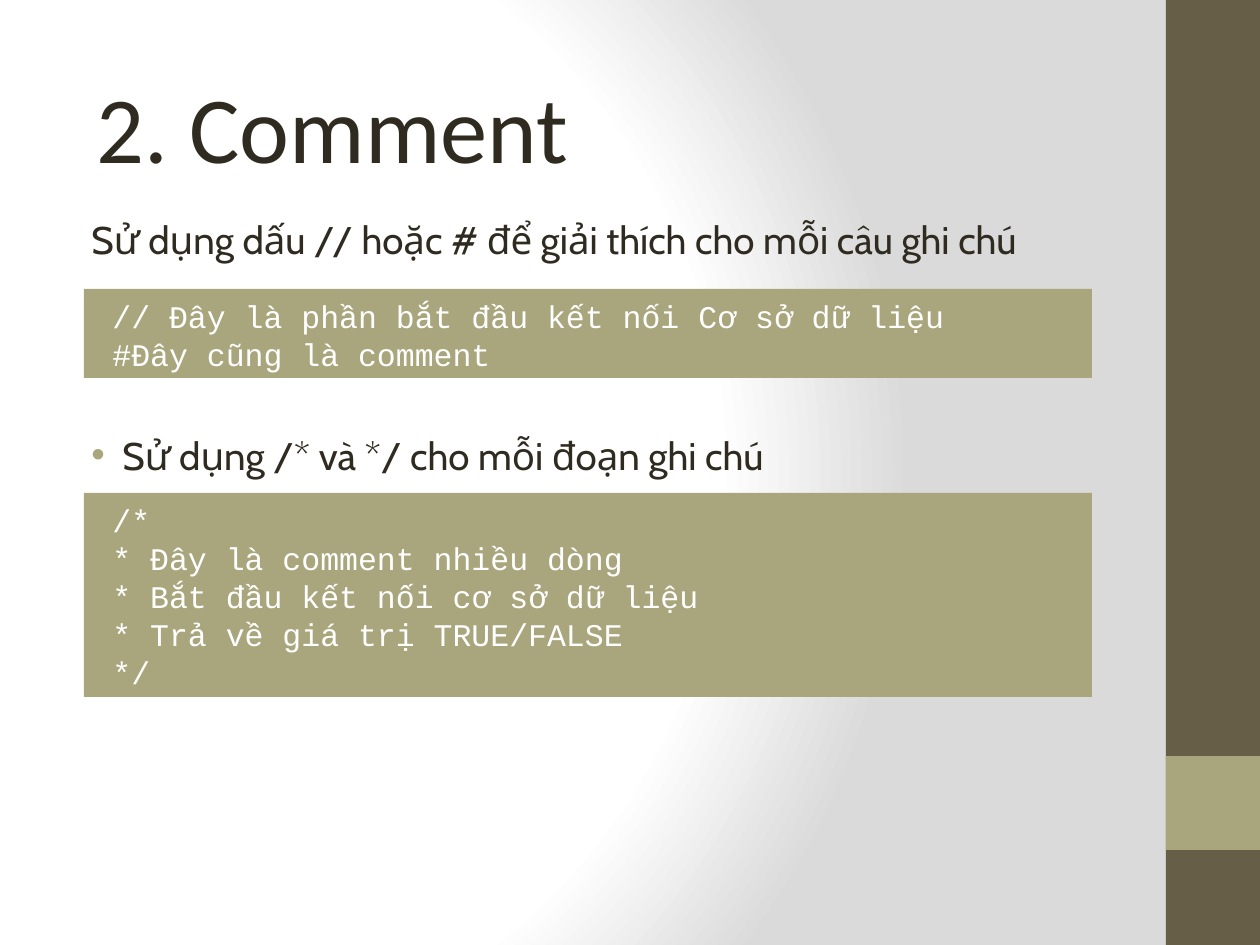
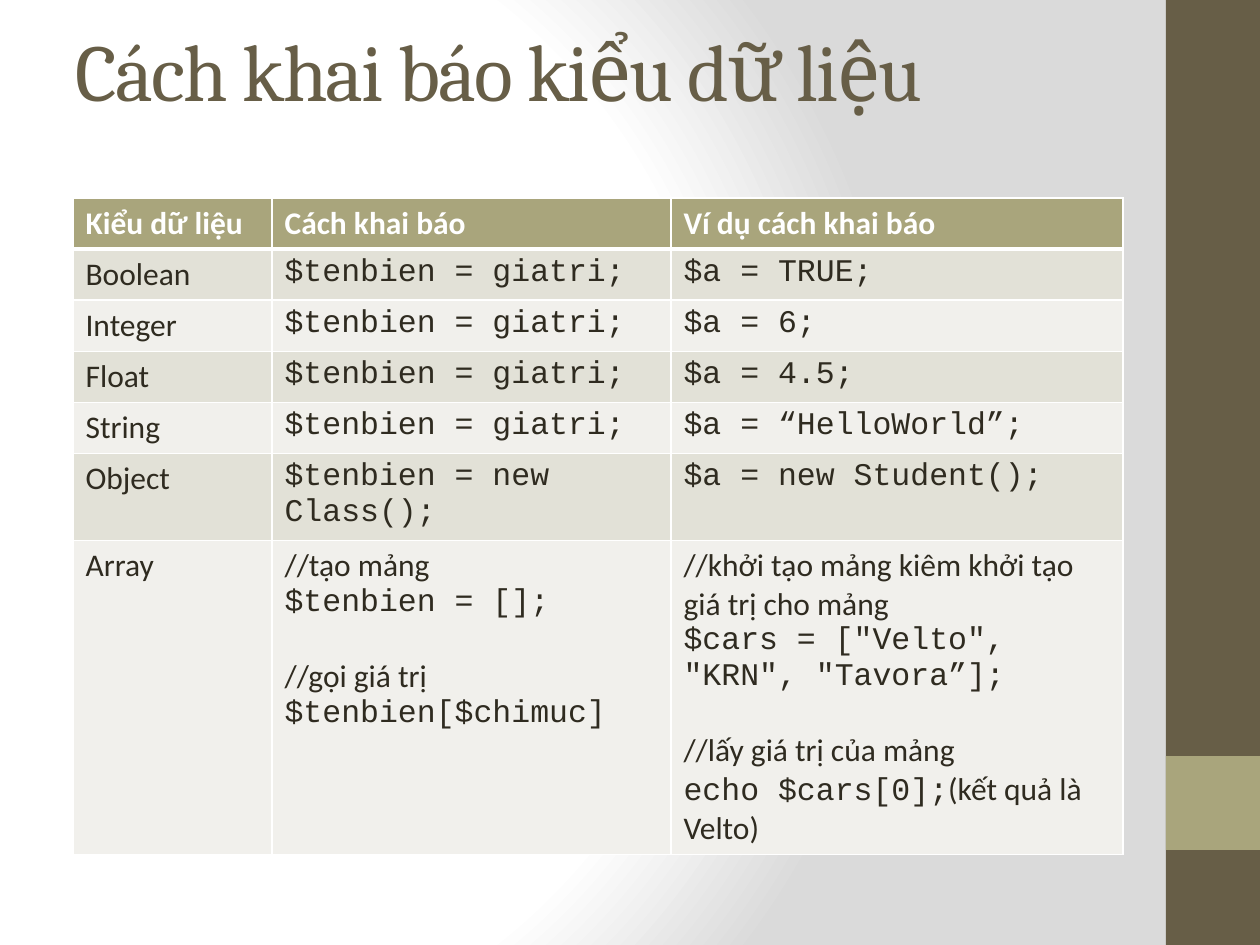
"""Build two lesson slides on comments and on declaring data types."""
import dataclasses
import typing

import lxml.etree
import pptx
import pptx.dml.color
import pptx.enum.shapes
import pptx.enum.text
import pptx.oxml
import pptx.oxml.ns
import pptx.util

Pt = pptx.util.Pt
ANCHOR = pptx.enum.text.MSO_ANCHOR
LEFT = pptx.enum.text.PP_ALIGN.LEFT
COLORS = {
    "white": "FFFFFF", "gray": "DADADA", "brown": "675E47", "sand": "A9A57C",
    "ink": "2F2B20", "dark": "E2E1D7", "light": "F1F0EC",
}
CODE = "Courier New"
TEXT = "Calibri"
NS = 'xmlns:a="http://schemas.openxmlformats.org/drawingml/2006/main"'


@dataclasses.dataclass(frozen=True)
class Box:
    """A rectangle in pixels."""
    left: int
    top: int
    width: int
    height: int

    def emus(self) -> list[pptx.util.Emu]:
        """Return the four lengths in EMU."""
        return [px(n) for n in dataclasses.astuple(self)]


@dataclasses.dataclass(frozen=True)
class Style:
    """The look of a run."""
    font: str
    size: float
    color: str
    bold: bool = False


@dataclasses.dataclass(frozen=True)
class Line:
    """A paragraph of runs, each a text and a font, below a gap in points."""
    runs: tuple[tuple[str, str], ...]
    gap: float = 0


@dataclasses.dataclass(frozen=True)
class Panel:
    """A filled box of code lines."""
    box: Box
    lines: tuple[str, ...]


def px(count: float) -> pptx.util.Emu:
    """Turn pixels into EMU."""
    return pptx.util.Emu(round(count * 914400 / 126))


def rgb(name: str) -> pptx.dml.color.RGBColor:
    """Look up a colour."""
    return pptx.dml.color.RGBColor.from_string(COLORS[name])


def assign(target: typing.Any, values: dict[str, typing.Any]) -> None:
    """Set each value as an attribute."""
    for name, value in values.items():
        setattr(target, name, value)


def node(markup: str) -> lxml.etree.ElementBase:
    """Parse a drawing element."""
    return pptx.oxml.parse_xml(markup.replace(" ", f" {NS} ", 1))


def write(para: typing.Any, text: str, style: Style) -> typing.Any:
    """Add a styled run."""
    run = para.add_run()
    run.text = text
    assign(run.font, {"name": style.font, "size": Pt(style.size), "bold": style.bold})
    run.font.color.rgb = rgb(style.color)
    return run


def indent(para: typing.Any, left: int, first: int = 0) -> None:
    """Set the paragraph indents in pixels."""
    props = para._p.get_or_add_pPr()
    props.set("marL", str(px(left)))
    props.set("indent", str(px(first)))


def block(shapes: typing.Any, box: Box, color: str) -> typing.Any:
    """Draw a plain filled rectangle."""
    shape = shapes.add_shape(pptx.enum.shapes.MSO_SHAPE.RECTANGLE, *box.emus())
    shape.shadow.inherit = False
    shape.fill.solid()
    shape.fill.fore_color.rgb = rgb(color)
    shape.line.fill.background()
    return shape


def backdrop(master: typing.Any) -> None:
    """Give the master its round gradient."""
    fill = master.background.fill
    fill.gradient()
    old = next(master.element.iter(pptx.oxml.ns.qn("a:gradFill")))
    stops = "".join(
        f'<a:gs pos="{at}000"><a:srgbClr val="{COLORS[name]}"/></a:gs>'
        for at, name in ((0, "white"), (75, "white"), (100, "gray"))
    )
    new = node(
        f'<a:gradFill rotWithShape="1"><a:gsLst>{stops}</a:gsLst><a:path path="circle">'
        '<a:fillToRect l="20000" t="50000" r="100000" b="50000"/></a:path></a:gradFill>'
    )
    old.getparent().replace(old, new)


def bands(master: typing.Any, slide: typing.Any) -> None:
    """Draw the side bands and hand them to the master."""
    sides = ((Box(1166, 0, 94, 945), "brown"), (Box(1166, 756, 94, 94), "sand"))
    for order, (box, color) in enumerate(sides):
        band = block(slide.shapes, box, color)
        band.element.nvSpPr.cNvPr.set("id", str(100 + order))
        master.shapes.element.insert(2 + order, band.element)


def title(slide: typing.Any, text: str, box: Box, style: Style,
          anchor: typing.Any, bottom: int = 6, tight: int = 0) -> None:
    """Place and format the title."""
    shape = slide.shapes.title
    assign(shape, dict(zip(("left", "top", "width", "height"), box.emus())))
    frame = shape.text_frame
    assign(frame, {
        "word_wrap": True, "auto_size": pptx.enum.text.MSO_AUTO_SIZE.NONE,
        "vertical_anchor": anchor, "margin_bottom": px(bottom),
    })
    para = frame.paragraphs[0]
    para.alignment = LEFT
    run = write(para, text, style)
    run.font._element.set("spc", str(tight))


def panel(slide: typing.Any, item: Panel) -> None:
    """Draw a box of code."""
    frame = block(slide.shapes, item.box, "sand").text_frame
    assign(frame, {"word_wrap": True, "vertical_anchor": ANCHOR.TOP, "margin_top": px(8)})
    for order, text in enumerate(item.lines):
        para = frame.add_paragraph() if order else frame.paragraphs[0]
        assign(para, {"alignment": LEFT, "line_spacing": Pt(21.7)})
        indent(para, 16)
        write(para, text, Style(CODE, 18, "white"))


def body(slide: typing.Any) -> None:
    """Write the two rules on comments."""
    frame = slide.shapes.add_textbox(*Box(63, 210, 1050, 672).emus()).text_frame
    frame.word_wrap = True
    style = Style("Cabin", 22, "ink")
    first, second = frame.paragraphs[0], frame.add_paragraph()
    indent(first, 16)
    write(first, "Sử dụng dấu // hoặc # để giải thích cho mỗi câu ghi chú", style)
    second.space_before = Pt(96.7)
    indent(second, 47, -31)
    props = second._p.get_or_add_pPr()
    props.append(node(f'<a:buClr ><a:srgbClr val="{COLORS["sand"]}"/></a:buClr>'))
    props.append(node('<a:buFont typeface="Arial"/>'))
    props.append(node('<a:buChar char="•"/>'))
    write(second, "Sử dụng /* và */ cho mỗi đoạn ghi chú", style)


def edges(cell: typing.Any, row: int) -> None:
    """Draw white borders, thick below the header."""
    sizes = {"L": 1, "R": 1, "T": 3 if row == 1 else 1, "B": 1 if row else 3}
    props = cell._tc.get_or_add_tcPr()
    for order, (side, size) in enumerate(sizes.items()):
        props.insert(order, node(
            f'<a:ln{side} w="{size * 12700}"><a:solidFill>'
            f'<a:srgbClr val="{COLORS["white"]}"/></a:solidFill></a:ln{side}>'
        ))


def grid(slide: typing.Any, rows: list[list[list[Line]]]) -> None:
    """Draw the table of types."""
    widths, heights = (199, 399, 452), (50,) * 5 + (87, 272)
    box = Box(73, 198, sum(widths), sum(heights))
    table = slide.shapes.add_table(len(heights), len(widths), *box.emus()).table
    for column, width in zip(table.columns, widths):
        column.width = px(width)
    for order, (row, height) in enumerate(zip(rows, heights)):
        table.rows[order].height = px(height)
        shade = ("dark" if order % 2 else "light") if order else "sand"
        for cell, lines in zip(table.rows[order].cells, row):
            cell.fill.solid()
            cell.fill.fore_color.rgb = rgb(shade)
            edges(cell, order)
            for spot, line in enumerate(lines):
                frame = cell.text_frame
                para = frame.add_paragraph() if spot else frame.paragraphs[0]
                if line.gap:
                    para.space_before = Pt(line.gap)
                for text, font in line.runs:
                    color = "ink" if order else "white"
                    write(para, text, Style(font, 18, color, not order))


def plain(text: str, gap: float = 0) -> Line:
    """Make a line of prose."""
    return Line(((text, TEXT),), gap)


def code(text: str) -> Line:
    """Make a line of code."""
    return Line(((text, CODE),))


PANELS = (
    Panel(Box(84, 493, 1008, 204), (
        "/*", "* Đây là comment nhiều dòng", "* Bắt đầu kết nối cơ sở dữ liệu",
        "* Trả về giá trị TRUE/FALSE", "*/",
    )),
    Panel(Box(84, 289, 1008, 89), (
        "// Đây là phần bắt đầu kết nối Cơ sở dữ liệu", "#Đây cũng là comment",
    )),
)
HEADS = ("Kiểu dữ liệu", "Cách khai báo", "Ví dụ cách khai báo")
TYPES = {
    "Boolean": ("giatri;", "TRUE;"),
    "Integer": ("giatri;", "6;"),
    "Float": ("giatri;", "4.5;"),
    "String": ("giatri;", "“HelloWorld”;"),
    "Object": ("new Class();", "new Student();"),
}
ARRAY = [
    [plain("Array")],
    [plain("//tạo mảng"), code("$tenbien = [];"),
     plain("//gọi giá trị", 21), code("$tenbien[$chimuc]")],
    [plain("//khởi tạo mảng kiêm khởi tạo giá trị cho mảng"),
     code('$cars = ["Velto", "KRN", "Tavora”];'),
     plain("//lấy giá trị của mảng", 21),
     Line((("echo $cars[0];", CODE), ("(kết quả là Velto)", TEXT)))],
]


def main() -> None:
    """Build and save the deck."""
    deck = pptx.Presentation()
    assign(deck, {"slide_width": px(1260), "slide_height": px(945)})
    backdrop(deck.slide_master)
    first, second = (deck.slides.add_slide(deck.slide_layouts[5]) for _ in range(2))
    bands(deck.slide_master, first)

    body(first)
    for item in PANELS:
        panel(first, item)
    title(first, "2. Comment", Box(84, 63, 1008, 127), Style(TEXT, 54, "ink"), ANCHOR.TOP)

    title(second, "Cách khai báo kiểu dữ liệu", Box(63, 38, 1050, 157),
          Style("Cambria", 46, "brown"), ANCHOR.MIDDLE, bottom=100, tight=-100)
    rows = [[[plain(head)] for head in HEADS]]
    rows += [
        [[plain(kind)], [code(f"$tenbien = {form}")], [code(f"$a = {case}")]]
        for kind, (form, case) in TYPES.items()
    ]
    grid(second, rows + [ARRAY])
    deck.save("out.pptx")


main()
